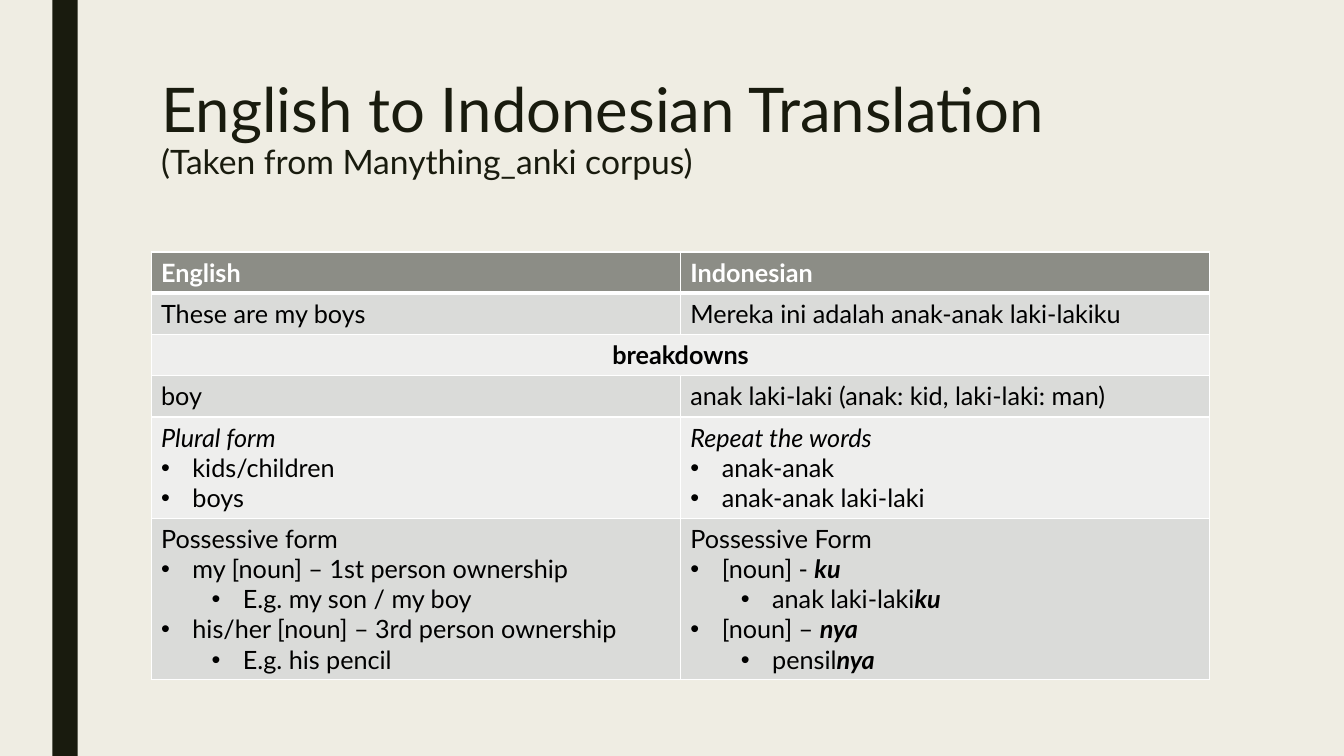
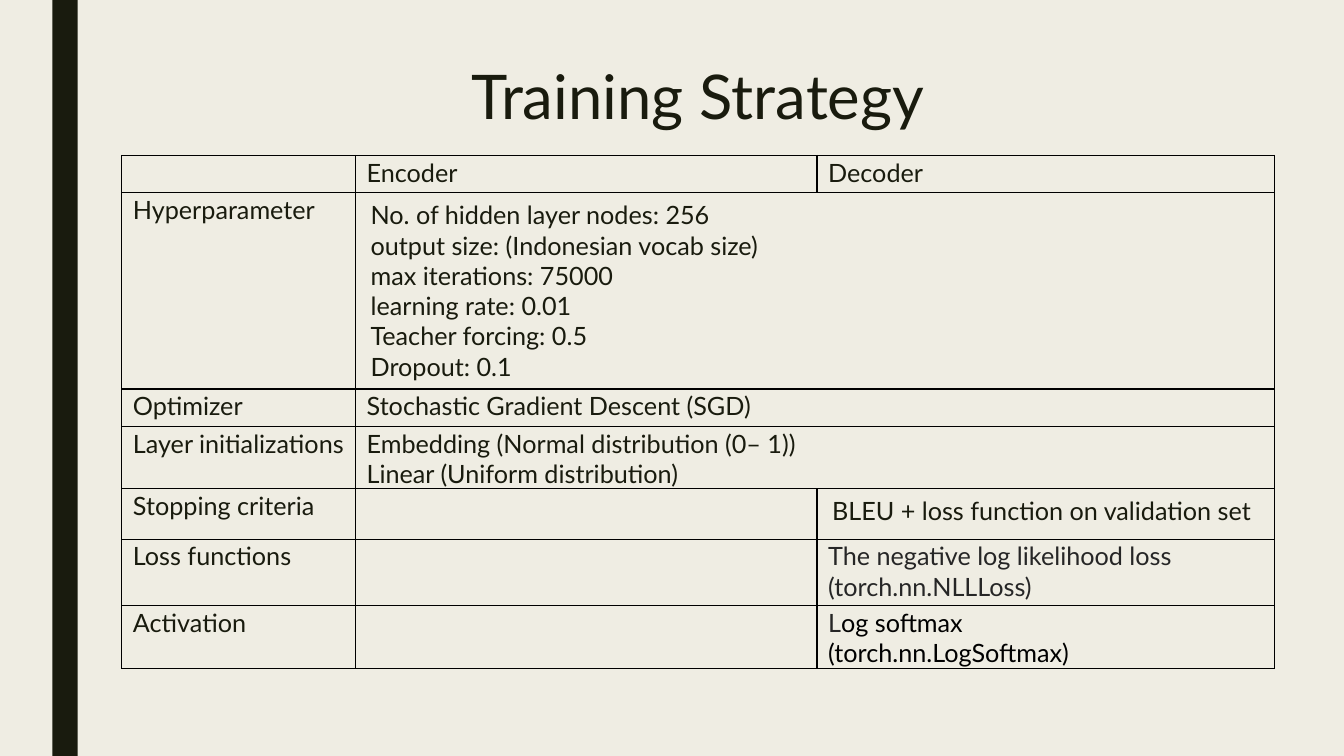
from typing import NamedTuple, Optional

from lxml.etree import SubElement
from pptx import Presentation
from pptx.dml.color import RGBColor
from pptx.enum.shapes import MSO_SHAPE as Shape
from pptx.enum.text import MSO_ANCHOR as Anchor, PP_ALIGN as Align
from pptx.oxml.ns import qn
from pptx.util import Cm, Pt

COLORS = {
    "paper": "EFEDE3",
    "ink": "191B0E",
    "black": "000000",
    "white": "FFFFFF",
    "charcoal": "262626",
    "header": "8C8D86",
    "band_dark": "DADBD9",
    "band_light": "EEEEED",
}
FONT = "Lato"
BODY_SIZE = 18
BULLET_HANG = 0.79
BULLET_STEP = 1.27
NORMAL_INSETS = (0.25, 0.13, 0.25, 0.13)
TIGHT_INSETS = (0.28, 0.05, 0.28, 0)
ROOMY_INSETS = (0.38, 0.18, 0.38, 0.18)


class Run(NamedTuple):
    text: str
    bold: bool = False
    italic: bool = False
    color: Optional[str] = None


class Line(NamedTuple):
    runs: list
    level: Optional[int] = None


class Cell(NamedTuple):
    lines: list
    color: str = "ink"
    insets: tuple = TIGHT_INSETS
    fill: Optional[str] = None
    align: Align = Align.LEFT
    span: int = 1


def plain(*texts, level=None):
    return [Line([Run(text)], level) for text in texts]


def strong(text):
    return Run(text, bold=True, italic=True)


def ending(stem, suffix, level):
    return Line([Run(stem), strong(suffix)], level)


def color_of(name):
    return RGBColor.from_string(COLORS[name])


class Deck:
    def __init__(self):
        self.presentation = Presentation()
        self.presentation.slide_width = Cm(33.87)
        self.presentation.slide_height = Cm(19.05)
        self.slide = None

    def new_slide(self):
        layout = self.presentation.slide_layouts[6]
        self.slide = self.presentation.slides.add_slide(layout)
        background = self.slide.background.fill
        background.solid()
        background.fore_color.rgb = color_of("paper")
        bar = self.slide.shapes.add_shape(
            Shape.RECTANGLE, Cm(1.32), 0, Cm(0.64), self.presentation.slide_height)
        bar.shadow.inherit = False
        bar.fill.solid()
        bar.fill.fore_color.rgb = color_of("ink")
        bar.line.fill.background()

    def style_run(self, run, size, color, bold=False, italic=False):
        run.font.name = FONT
        run.font.size = Pt(size)
        run.font.color.rgb = color_of(color)
        run.font.bold = bold
        run.font.italic = italic

    def title(self, box, text, sizes=(44,), align=Align.LEFT):
        shape = self.slide.shapes.add_textbox(*map(Cm, box))
        text_frame = shape.text_frame
        text_frame.word_wrap = True
        text_frame.vertical_anchor = Anchor.TOP
        paragraph = text_frame.paragraphs[0]
        paragraph.text = text
        paragraph.alignment = align
        paragraph.line_spacing = 0.89
        for run, size in zip(paragraph.runs, sizes):
            self.style_run(run, size, "ink")

    def bullet(self, paragraph, level):
        paragraph.level = level
        properties = paragraph._p.get_or_add_pPr()
        properties.set("marL", str(Cm(BULLET_HANG + level * BULLET_STEP)))
        properties.set("indent", str(-Cm(BULLET_HANG)))
        SubElement(properties, qn("a:buFont"), typeface="Arial")
        SubElement(properties, qn("a:buChar"), char="•")

    def border(self, cell, color, widths):
        properties = cell._tc.get_or_add_tcPr()
        for side, width in zip("LRTB", widths):
            line = SubElement(properties, qn(f"a:ln{side}"), w=str(Pt(width)))
            fill = SubElement(line, qn("a:solidFill"))
            SubElement(fill, qn("a:srgbClr"), val=COLORS[color])

    def fill_cell(self, cell, content):
        (cell.margin_left, cell.margin_top,
         cell.margin_right, cell.margin_bottom) = map(Cm, content.insets)
        if content.fill:
            cell.fill.solid()
            cell.fill.fore_color.rgb = color_of(content.fill)
        else:
            cell.fill.background()
        text_frame = cell.text_frame
        for index, line in enumerate(content.lines):
            paragraph = text_frame.add_paragraph() if index else text_frame.paragraphs[0]
            paragraph.alignment = content.align
            if line.level is not None:
                self.bullet(paragraph, line.level)
            for part in line.runs:
                run = paragraph.add_run()
                run.text = part.text
                self.style_run(run, BODY_SIZE, part.color or content.color,
                               part.bold, part.italic)

    def table(self, left, top, widths, heights, rows, border, header_rule=1):
        table = self.slide.shapes.add_table(
            len(heights), len(widths), Cm(left), Cm(top),
            Cm(sum(widths)), Cm(sum(heights))).table
        table.first_row = False
        table.horz_banding = False
        for column, width in zip(table.columns, widths):
            column.width = Cm(width)
        for row, height in zip(table.rows, heights):
            row.height = Cm(height)
        for row_index, contents in enumerate(rows):
            upper = header_rule if row_index == 1 else 1
            lower = header_rule if row_index == 0 else 1
            for cell in table.rows[row_index].cells:
                self.border(cell, border, (1, 1, upper, lower))
            column_index = 0
            for content in contents:
                cell = table.cell(row_index, column_index)
                last = column_index + content.span - 1
                if content.span > 1:
                    cell.merge(table.cell(row_index, last))
                self.fill_cell(cell, content)
                column_index = last + 1


def translation_slide(deck):
    deck.new_slide()
    deck.title((3.81, 1.9, 26.67, 4.11),
               "English to Indonesian Translation\v(Taken from Manything_anki corpus)",
               sizes=(44, 24))

    def banded(fill, *columns, color="black", **options):
        return [Cell(lines, color, NORMAL_INSETS, fill, **options) for lines in columns]

    def heading(text):
        return [Line([Run(text, bold=True)])]

    def italic(text):
        return [Line([Run(text, italic=True)])]

    english_possessive = (
        plain("Possessive form")
        + plain("my [noun] – 1st person ownership", level=0)
        + plain("E.g. my son / my boy", level=1)
        + plain("his/her [noun] – 3rd person ownership", level=0)
        + plain("E.g. his pencil", level=1))
    indonesian_possessive = plain("Possessive Form") + [
        ending("[noun] - ", "ku", 0),
        ending("anak laki-laki", "ku", 1),
        ending("[noun] – ", "nya", 0),
        ending("pensil", "nya", 1),
    ]
    rows = [
        banded("header", heading("English"), heading("Indonesian"), color="white"),
        banded("band_dark", plain("These are my boys"),
               plain("Mereka ini adalah anak-anak laki-lakiku")),
        banded("band_light", heading("breakdowns"), align=Align.CENTER, span=2),
        banded("band_dark", plain("boy"),
               plain("anak laki-laki (anak: kid, laki-laki: man)")),
        banded("band_light",
               italic("Plural form") + plain("kids/children", "boys", level=0),
               italic("Repeat the words")
               + plain("anak-anak", "anak-anak laki-laki", level=0)),
        banded("band_dark", english_possessive, indonesian_possessive),
    ]
    deck.table(3.81, 6.35, [13.34] * 2, [1.04] * 4 + [2.54, 4.06], rows,
               border="white", header_rule=3)


def training_slide(deck):
    deck.new_slide()
    deck.title((2.44, 1.57, 30.3, 2.01), "Training Strategy", align=Align.CENTER)
    empty = Cell([])
    hyperparameters = plain(
        "No. of hidden layer nodes: 256",
        "output size: (Indonesian vocab size)",
        "max iterations: 75000",
        "learning rate: 0.01",
        "Teacher forcing: 0.5",
        "Dropout: 0.1")
    initializations = plain(
        "Embedding (Normal distribution (0– 1))", "Linear (Uniform distribution)")
    activation = [Line([Run("L", color="charcoal"), Run("og softmax")])]
    activation += plain("(torch.nn.LogSoftmax)")
    rows = [
        [empty, Cell(plain("Encoder")), Cell(plain("Decoder"))],
        [Cell(plain("Hyperparameter")),
         Cell(hyperparameters, insets=ROOMY_INSETS, span=2)],
        [Cell(plain("Optimizer")),
         Cell(plain("Stochastic Gradient Descent (SGD)"), span=2)],
        [Cell(plain("Layer initializations")), Cell(initializations, span=2)],
        [Cell(plain("Stopping criteria")), empty,
         Cell(plain("BLEU + loss function on validation set"), insets=ROOMY_INSETS)],
        [Cell(plain("Loss functions")), empty,
         Cell(plain("The negative log likelihood loss (torch.nn.NLLLoss)"),
              color="charcoal")],
        [Cell(plain("Activation")), empty, Cell(activation, color="black")],
    ]
    deck.table(3.07, 3.92, [5.89, 11.63, 11.53],
               [0.94, 4.94, 0.94, 1.57, 1.27, 1.68, 1.57], rows, border="black")


def main():
    deck = Deck()
    translation_slide(deck)
    training_slide(deck)
    deck.presentation.save("out.pptx")


if __name__ == "__main__":
    main()
